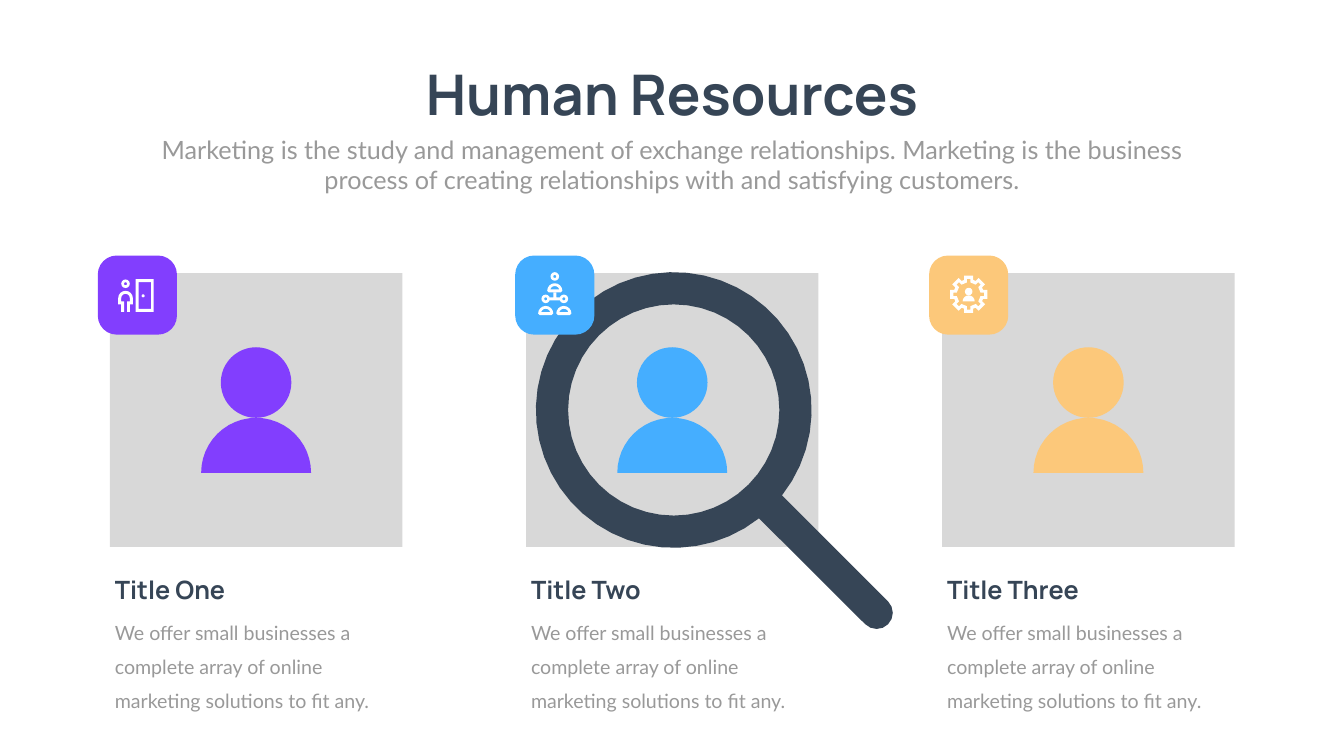
from dataclasses import dataclass
from math import cos, radians, sin

from pptx import Presentation
from pptx import util as u
from pptx.dml.color import RGBColor
from pptx.enum import shapes, text


@dataclass(frozen=True)
class Theme:
    dark: str = "364556"
    grey: str = "999999"
    panel: str = "D8D8D8"
    white: str = "FFFFFF"
    accents: tuple = ("823EFE", "45AEFF", "FCC87A")
    heading_font: str = "Manrope"
    body_font: str = "Lato"
    title_size: int = 80
    lead_size: int = 36
    body_size: int = 28


@dataclass(frozen=True)
class Icon:
    """Parts around the badge centre: ring centres, discs (x, y, radius), outlines."""
    rings: tuple
    discs: tuple
    outlines: tuple


THEME = Theme()
WIDTH, HEIGHT = 26.66, 15

# Column grid, in inches
LEFT, PITCH, CARD = 2.18, 8.255, 5.8
PANEL_TOP, PANEL_HEIGHT = 5.42, 5.43
BADGE_LEFTS, BADGE_TOP, BADGE = (1.94, 10.22, 18.43), 5.07, 1.57
RING_RADIUS, RING_SHARE = 0.085, 0.32

TITLES = ("Title One", "Title Two", "Title Three")
BODY = ("We offer small businesses a complete array of online "
        "marketing solutions to fit any.")
LEAD = ("Marketing is the study and management of exchange relationships. "
        "Marketing is the business process of creating relationships with "
        "and satisfying customers.")


# Geometry: every contour is a list of points
def arc(x, y, radius, start, end, steps=8):
    angles = [radians(start + (end - start) * i / steps) for i in range(steps + 1)]
    return [(x + radius * cos(a), y + radius * sin(a)) for a in angles]


def box(left, top, right, bottom):
    return [(left, top), (right, top), (right, bottom), (left, bottom)]


def bust(x, y):
    """Outlined shoulders whose arc is centred at x, y."""
    outer = arc(x, y, 0.15, 180, 360) + [(x + 0.12, y + 0.03), (x - 0.12, y + 0.03)]
    return [outer, arc(x, y, 0.095, 198, 342, 6)]


def cog(y, tip, root, half, teeth=8):
    points = []
    for tooth in range(teeth):
        c, s = cos(radians(tooth * 360 / teeth)), sin(radians(tooth * 360 / teeth))
        for px, py in ((root, -half), (tip, -half), (tip, half), (root, half)):
            points.append((px * c - py * s, y + px * s + py * c))
    return points


# Drawing
def paint(shape, color):
    shape.shadow.inherit = False
    shape.fill.solid()
    shape.fill.fore_color.rgb = RGBColor.from_string(color)
    shape.line.fill.background()
    return shape


def add_preset(parent, kind, left, top, width, height, color):
    shape = parent.add_shape(kind, *map(u.Inches, (left, top, width, height)))
    return paint(shape, color)


def add_round(parent, kind, x, y, radius, color):
    return add_preset(parent, kind, x - radius, y - radius, 2 * radius, 2 * radius, color)


def add_outline(parent, contours, color, x=0, y=0):
    """One freeform made of closed contours, moved by x, y."""
    moved = [[(u.Inches(x + px), u.Inches(y + py)) for px, py in contour]
             for contour in contours]
    builder = parent.build_freeform(*moved[0][0], scale=1.0)
    for number, contour in enumerate(moved):
        if number:
            builder.move_to(*contour[0])
        builder.add_line_segments(contour[1:], close=True)
    return paint(builder.convert_to_shape(), color)


def write(shape, words, left, top, width, height, *, font, size, color,
          bold=False, align=text.PP_ALIGN.LEFT, spacing=1.0):
    shape.left, shape.top, shape.width, shape.height = map(
        u.Inches, (left, top, width, height))
    frame = shape.text_frame
    frame.word_wrap = True
    frame.auto_size = text.MSO_AUTO_SIZE.NONE
    frame.vertical_anchor = text.MSO_ANCHOR.TOP
    frame.text = words
    paragraph = frame.paragraphs[0]
    paragraph.alignment = align
    paragraph.line_spacing = spacing
    paragraph.space_before = u.Pt(0)
    paragraph.font.name = font
    paragraph.font.size = u.Pt(size)
    paragraph.font.bold = bold
    paragraph.font.color.rgb = RGBColor.from_string(color)


def add_header(slide):
    centre = text.PP_ALIGN.CENTER
    write(slide.shapes.title, "Human Resources", 7.97, 1.14, 10.72, 1.45,
          font=THEME.heading_font, size=THEME.title_size, color=THEME.dark,
          bold=True, align=centre)
    write(slide.placeholders[1], LEAD, 2.92, 2.61, 20.82, 1.31,
          font=THEME.body_font, size=THEME.lead_size, color=THEME.grey, align=centre)


def add_magnifier(slide):
    x, y = 13.365, 8.135
    rim = arc(x, y, 2.735, 51.8, 398.3, 48)
    handle_end = arc(17.39, 12.16, 0.32, -45, 135)
    add_outline(slide.shapes, [rim + handle_end, arc(x, y, 2.095, 0, 360, 48)],
                THEME.dark)


def add_caption(slide, left, title):
    write(slide.shapes.add_textbox(0, 0, 0, 0), title, left, 11.35, 5.35, 0.71,
          font=THEME.heading_font, size=THEME.lead_size, color=THEME.dark, bold=True)
    write(slide.shapes.add_textbox(0, 0, 0, 0), BODY, left, 12.05, CARD, 1.77,
          font=THEME.body_font, size=THEME.body_size, color=THEME.grey, spacing=1.46)


def add_person(slide, left, color):
    x = left + CARD / 2
    add_round(slide.shapes, shapes.MSO_SHAPE.OVAL, x, 7.59, 0.7, color)
    add_outline(slide.shapes, [arc(x, 9.38, 1.09, 180, 360, 24)], color)


# Badge icons
def door_icon():
    x, y = -0.235, 0.06
    body = (arc(x, y, 0.145, 180, 360)
            + [(-0.09, 0.185), (-0.15, 0.185), (-0.15, 0.335), (-0.205, 0.335),
               (-0.205, 0.125), (-0.15, 0.125)]
            + arc(x, y, 0.085, 360, 180)
            + [(-0.32, 0.125), (-0.265, 0.125), (-0.265, 0.335), (-0.32, 0.335),
               (-0.32, 0.185), (-0.38, 0.185)])
    door = [box(-0.035, -0.315, 0.325, 0.335), box(0.025, -0.255, 0.275, 0.275)]
    return Icon(((x, -0.225),), ((0.115, 0.015, 0.03),), ([body], door))


def team_icon():
    # The stem and bar form one inverted T
    links = [(-0.03, -0.055), (0.03, -0.055), (0.03, 0.045), (0.1, 0.045),
             (0.1, 0.105), (-0.1, 0.105), (-0.1, 0.045), (-0.03, 0.045)]
    return Icon(((0, -0.37), (-0.18, 0.075), (0.18, 0.075)), (),
                (bust(0, -0.085), [links], bust(-0.18, 0.365), bust(0.18, 0.365)))


def gear_icon():
    y = -0.015
    gear = [cog(y, 0.37, 0.285, 0.09), cog(y, 0.305, 0.235, 0.035)]
    return Icon((), ((0, -0.07, 0.075),), (gear, [arc(0, 0.125, 0.12, 180, 360)]))


def add_badge(slide, left, color, icon):
    badge = add_preset(slide.shapes, shapes.MSO_SHAPE.ROUNDED_RECTANGLE,
                       left, BADGE_TOP, BADGE, BADGE, color)
    badge.adjustments[0] = 0.24
    x, y = left + BADGE / 2, BADGE_TOP + BADGE / 2
    for contours in icon.outlines:
        add_outline(slide.shapes, contours, THEME.white, x, y)
    for px, py in icon.rings:
        ring = add_round(slide.shapes, shapes.MSO_SHAPE.DONUT,
                         x + px, y + py, RING_RADIUS, THEME.white)
        ring.adjustments[0] = RING_SHARE
    for px, py, radius in icon.discs:
        add_round(slide.shapes, shapes.MSO_SHAPE.OVAL, x + px, y + py, radius, THEME.white)


def main():
    presentation = Presentation()
    presentation.slide_width = u.Inches(WIDTH)
    presentation.slide_height = u.Inches(HEIGHT)
    slide = presentation.slides.add_slide(presentation.slide_layouts[0])
    add_header(slide)

    # Panels lie behind the magnifier, everything else in front
    lefts = [LEFT + PITCH * column for column in range(len(TITLES))]
    for left in lefts:
        add_preset(slide.shapes, shapes.MSO_SHAPE.RECTANGLE,
                   left, PANEL_TOP, CARD, PANEL_HEIGHT, THEME.panel)
    add_magnifier(slide)
    icons = (door_icon(), team_icon(), gear_icon())
    for left, title, badge_left, color, icon in zip(
            lefts, TITLES, BADGE_LEFTS, THEME.accents, icons):
        add_caption(slide, left, title)
        add_badge(slide, badge_left, color, icon)
        add_person(slide, left, color)
    presentation.save("out.pptx")


if __name__ == "__main__":
    main()
